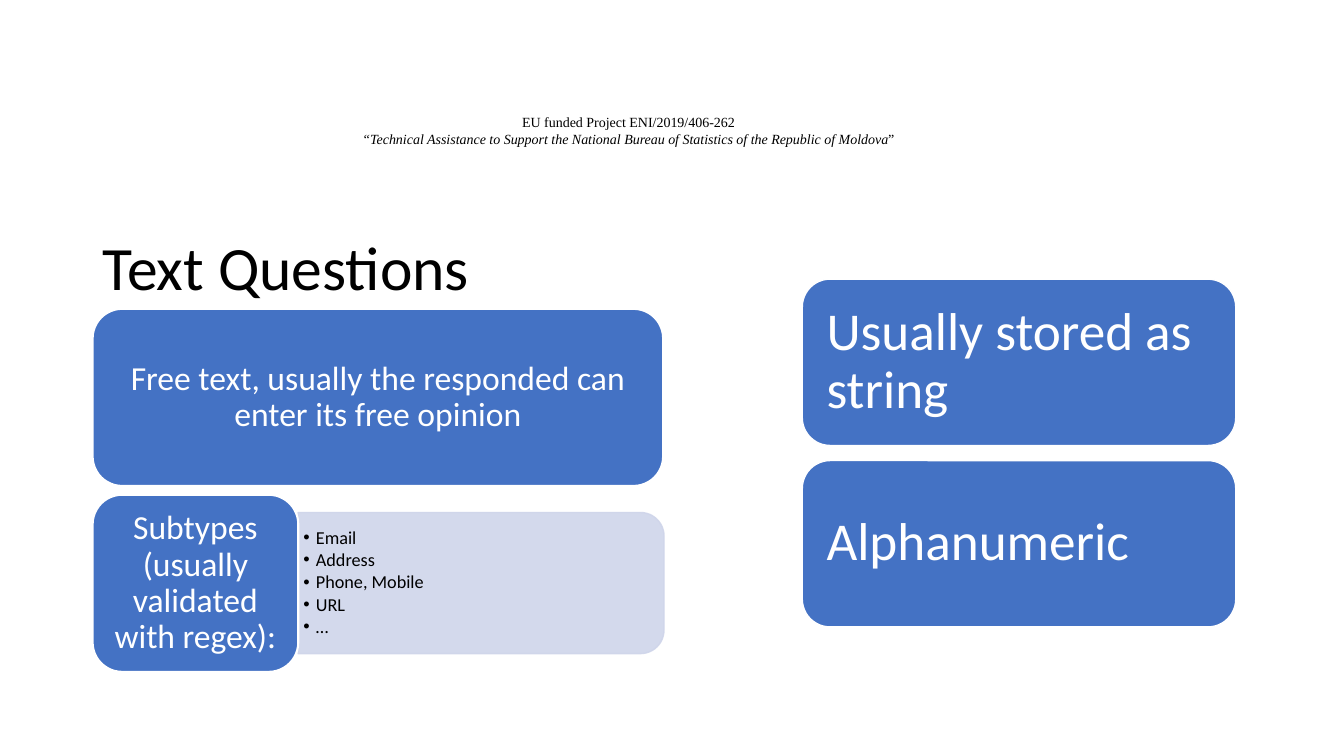
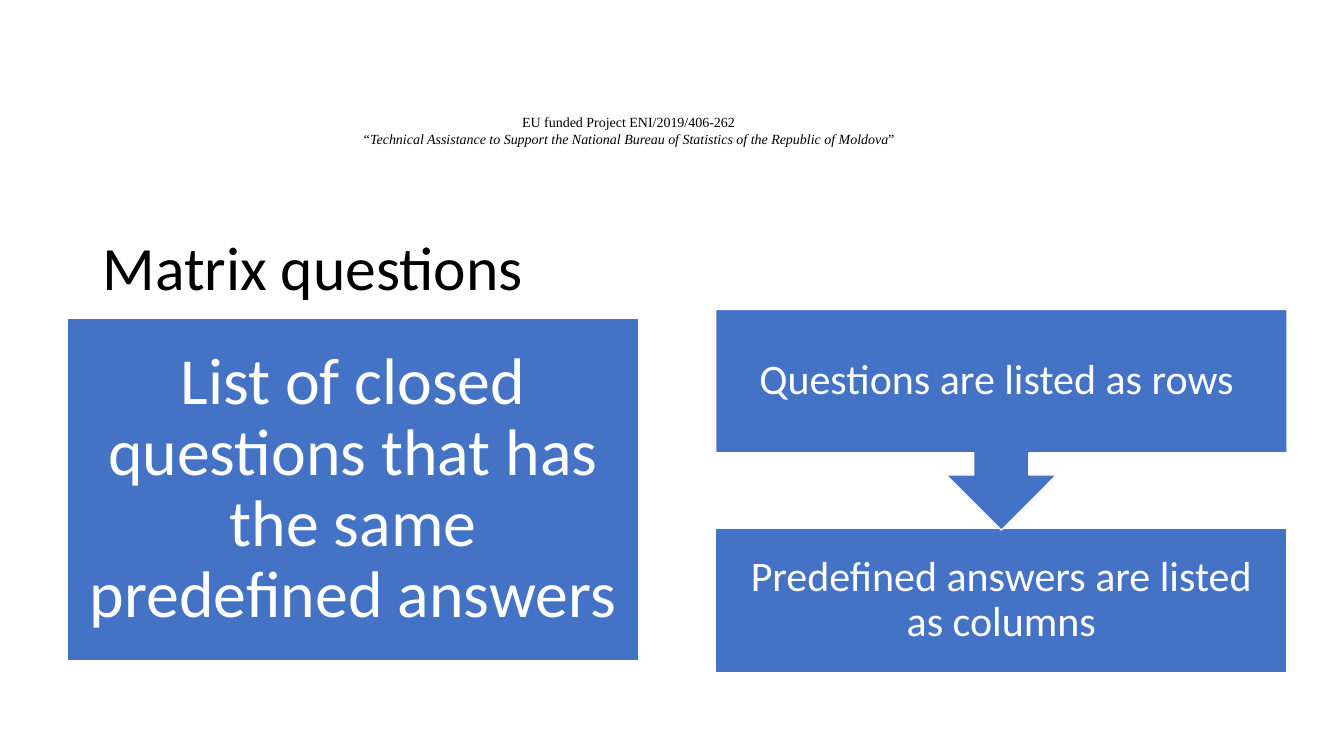
from dataclasses import dataclass

from lxml.etree import SubElement as Sub
from pptx import Presentation
from pptx.dml.color import RGBColor as Rgb
from pptx.enum.shapes import MSO_SHAPE as Kind
from pptx.enum.text import MSO_ANCHOR as Anchor, MSO_AUTO_SIZE as Fit, PP_ALIGN as Align
from pptx.oxml.ns import qn
from pptx.util import Pt

INK = {"blue": "4472C4", "pale": "CFD5EA", "white": "FFFFFF", "black": "000000"}
SANS = "Calibri"
SERIF = "Times New Roman"


@dataclass(frozen=True)
class Box:
    left: float
    top: float
    width: float
    height: float

    def pts(self) -> list:
        return [Pt(n) for n in (self.left, self.top, self.width, self.height)]


@dataclass(frozen=True)
class Card:
    box: Box
    text: str
    size: float
    kind: Kind = Kind.RECTANGLE
    pad: tuple = (7.2, 3.6)
    align: Align = Align.CENTER
    edge: float = 1


def tint(name: str) -> Rgb:
    return Rgb.from_string(INK[name])


def style(para, size: float, color: str, face: str = SANS) -> None:
    for run in para.runs:
        run.font.size = Pt(size)
        run.font.name = face
        run.font.color.rgb = tint(color)


def set_frame(frame, anchor: Anchor, pad: tuple) -> None:
    frame.word_wrap = True
    frame.auto_size = Fit.NONE
    frame.vertical_anchor = anchor
    frame.margin_left = frame.margin_right = Pt(pad[0])
    frame.margin_top = frame.margin_bottom = Pt(pad[1])


def paint(shape, fill: str, line: str, edge: float) -> None:
    shape.shadow.inherit = False
    shape.fill.solid()
    shape.fill.fore_color.rgb = tint(fill)
    shape.line.color.rgb = tint(line)
    shape.line.width = Pt(edge)


def add_card(slide, card: Card) -> None:
    shape = slide.shapes.add_shape(card.kind, *card.box.pts())
    paint(shape, "blue", "white", card.edge)
    frame = shape.text_frame
    set_frame(frame, Anchor.MIDDLE, card.pad)
    frame.text = card.text
    para = frame.paragraphs[0]
    para.alignment = card.align
    para.line_spacing = 0.9
    style(para, card.size, "white")


def add_panel(slide, box: Box) -> None:
    shape = slide.shapes.add_shape(Kind.ROUND_2_SAME_RECTANGLE, *box.pts())
    shape.rotation = 90
    paint(shape, "pale", "pale", 1)
    for color in shape.element.spPr.iter(qn("a:srgbClr")):
        Sub(color, qn("a:alpha"), val="90000")


def add_list(slide, box: Box, items: list) -> None:
    frame = slide.shapes.add_textbox(*box.pts()).text_frame
    set_frame(frame, Anchor.MIDDLE, (3.6, 2.2))
    frame.text = "\n".join(items)
    for para in frame.paragraphs:
        para.line_spacing = 0.9
        para.space_after = Pt(1.8)
        style(para, 13, "black")
        props = para._p.get_or_add_pPr()
        props.set("marL", str(Pt(9)))
        props.set("indent", str(Pt(-9)))
        Sub(props, qn("a:buFont"), typeface="Arial")
        Sub(props, qn("a:buChar"), char="•")


def add_header(slide, layout) -> None:
    box = slide.shapes.add_textbox(*Box(208.8, 77.8, 480.2, 31.7).pts())
    frame = box.text_frame
    set_frame(frame, Anchor.TOP, (7.2, 3.6))
    frame.text = "EU funded Project ENI/2019/406-262"
    name = frame.add_paragraph()
    run = name.add_run()
    run.text = "“Technical Assistance to Support the National Bureau of Statistics of the Republic of Moldova"
    run.font.italic = True
    name.add_run().text = "”"
    for para in frame.paragraphs:
        para.alignment = Align.CENTER
        style(para, 10, "black", SERIF)
    layout.shapes.element.append(box.element)


def add_slide(deck, layout, text: str):
    slide = deck.slides.add_slide(layout)
    title = slide.shapes.title
    title.left, title.top, title.width, title.height = Box(66, 116, 828, 104.4).pts()
    frame = title.text_frame
    set_frame(frame, Anchor.BOTTOM, (7.2, 3.6))
    frame.text = text
    para = frame.paragraphs[0]
    para.alignment = Align.LEFT
    para.line_spacing = 0.9
    style(para, 44, "black")
    return slide


def fill_text(slide) -> None:
    left, top, high, gap = 66.2, 220.6, 126.5, 6.3
    low = top + high + gap
    kind = Kind.ROUNDED_RECTANGLE
    add_card(slide, Card(
        Box(left, top, 407.5, high),
        "Free text, usually the responded can enter its free opinion",
        24, kind, edge=1.5))
    add_panel(slide, Box(293.2, 285.8, 100.8, 261.4))
    add_list(slide, Box(213.1, 370.8, 256.3, 91.4),
             ["Email", "Address", "Phone, Mobile", "URL", "…"])
    add_card(slide, Card(
        Box(left, low, 146.9, high),
        "Subtypes (usually validated with regex):", 24, kind, edge=1.5))
    for row, text in enumerate(["Usually stored as string", "Alphanumeric"]):
        add_card(slide, Card(
            Box(573.1, 199.4 + row * 129.6, 309.6, 118.8),
            text, 38, kind, (11.5, 11.5), Align.LEFT))


def fill_matrix(slide) -> None:
    left, wide, pad = 511.2, 408.2, (16.6, 16.6)
    add_card(slide, Card(
        Box(left, 377.3, wide, 103),
        "Predefined answers are listed as columns", 30, pad=pad))
    add_card(slide, Card(
        Box(left, 221, wide, 157.7),
        "Questions are listed as rows ", 30, Kind.DOWN_ARROW_CALLOUT, pad))
    add_card(slide, Card(
        Box(48.2, 227.5, wide, 244.8),
        "List of closed questions that has the same predefined answers",
        47, pad=(14.4, 14.4)))


def main() -> None:
    deck = Presentation()
    deck.slide_width, deck.slide_height = Pt(960), Pt(540)
    layout = deck.slide_layouts[5]
    first = add_slide(deck, layout, "Text Questions")
    add_header(first, layout)
    fill_text(first)
    fill_matrix(add_slide(deck, layout, "Matrix questions"))
    deck.save("out.pptx")


if __name__ == "__main__":
    main()
